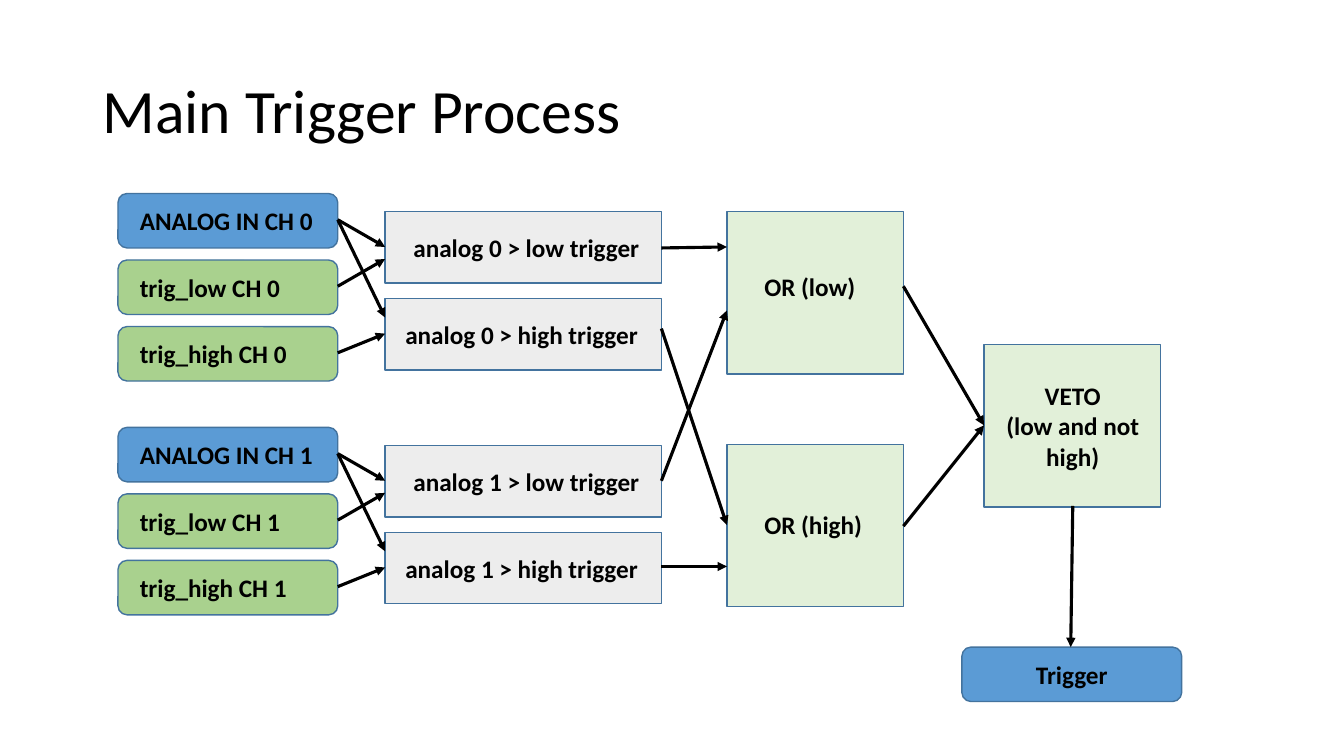
from lxml import etree
from pptx import Presentation
from pptx.dml.color import RGBColor
from pptx.enum.shapes import MSO_CONNECTOR, MSO_SHAPE
from pptx.enum.text import MSO_ANCHOR, PP_ALIGN
from pptx.oxml.ns import qn
from pptx.util import Emu, Pt

EMU_PER_PX = 9144
FONT = "Calibri"
BLACK, OUTLINE = "000000", "43739E"
BLUE, GREEN, PALE_GREEN, GRAY = "5B9BD5", "A9D18E", "E2F0D9", "EDEDED"
RECT, ROUNDED = MSO_SHAPE.RECTANGLE, MSO_SHAPE.ROUNDED_RECTANGLE
STRAIGHT = MSO_CONNECTOR.STRAIGHT
LEFT, CENTER = PP_ALIGN.LEFT, PP_ALIGN.CENTER
MIDDLE = MSO_ANCHOR.MIDDLE
CHANNEL_PITCH = 232
INPUT_PITCH = 66


def px(length):
    """Turn pixels into EMU."""
    return Emu(length * EMU_PER_PX)


def color(code):
    """Turn a hex string into a colour."""
    return RGBColor.from_string(code)


def write(box, text, size, bold, align, insets):
    """Fill a shape with formatted text; insets are left, right and bottom."""
    frame = box.text_frame
    frame.word_wrap = True
    frame.vertical_anchor = MIDDLE
    frame.margin_left, frame.margin_right, frame.margin_bottom = map(px, insets)
    frame.margin_top = 0
    frame.text = text
    for para in frame.paragraphs:
        para.alignment = align
        for span in para.runs:
            span.font.name = FONT
            span.font.size = Pt(size)
            span.font.bold = bold
            span.font.color.rgb = color(BLACK)


def add_title(page, text):
    """Add the slide title."""
    box = page.shapes.add_textbox(px(92), px(40), px(1150), px(145))
    write(box, text, 44, False, LEFT, (10, 10, 0))
    box.text_frame.paragraphs[0].line_spacing = 0.9


def add_block(page, kind, frame, fill, text, align=CENTER, insets=(15, 15, 0)):
    """Add an outlined block with a bold label."""
    box = page.shapes.add_shape(kind, *map(px, frame))
    box.shadow.inherit = False
    box.fill.solid()
    box.fill.fore_color.rgb = color(fill)
    box.line.color.rgb = color(OUTLINE)
    box.line.width = Pt(1)
    write(box, text, 18, True, align, insets)


def add_pill(page, left, top, fill, text, align=LEFT, insets=(19, 5, 0)):
    """Add a rounded signal block."""
    add_block(page, ROUNDED, (left, top, 218, 54), fill, text, align, insets)


def add_compare(page, top, text, indent):
    """Add a threshold comparison block."""
    add_block(page, RECT, (382, top, 274, 71), GRAY, text, LEFT, (indent, 0, 0))


def add_gate(page, left, top, text, align=LEFT, insets=(37, 5, 0)):
    """Add a logic gate block."""
    add_block(page, RECT, (left, top, 175, 161), PALE_GREEN, text, align, insets)


def add_arrow(page, x1, y1, x2, y2):
    """Add a black arrow between two points."""
    arrow = page.shapes.add_connector(STRAIGHT, px(x1), px(y1), px(x2), px(y2))
    arrow.line.color.rgb = color(BLACK)
    arrow.line.width = Pt(2.25)
    etree.SubElement(arrow.line._get_or_add_ln(), qn("a:tailEnd"), type="triangle")
    etree.SubElement(arrow._element.spPr, qn("a:effectLst"))


def add_channel(page, number):
    """Add one channel's inputs, comparisons and the arrows between them."""
    shift = number * CHANNEL_PITCH
    inputs = [("ANALOG IN CH", BLUE), ("trig_low CH", GREEN), ("trig_high CH", GREEN)]
    for row, (name, fill) in enumerate(inputs):
        add_pill(page, 117, 192 + shift + row * INPUT_PITCH, fill, f"{name} {number}")
    add_compare(page, 210 + shift, f"analog {number} > low trigger", 28)
    add_compare(page, 296 + shift, f"analog {number} > high trigger", 20)
    for start, end in [(218, 245), (284, 257), (218, 315), (350, 331)]:
        add_arrow(page, 335, start + shift, 382, end + shift)


def main():
    """Build the trigger diagram."""
    deck = Presentation()
    deck.slide_width, deck.slide_height = px(1333), px(750)
    page = deck.slides.add_slide(deck.slide_layouts[6])
    add_title(page, "Main Trigger Process")
    for number in range(2):
        add_channel(page, number)
    add_gate(page, 721, 210, "OR (low)", insets=(37, 5, 13))
    add_gate(page, 721, 441, "OR (high)", insets=(37, 5, 3))
    add_gate(page, 976, 342, "VETO\n(low and not high)", CENTER, (16, 15, 0))
    add_pill(page, 954, 642, BLUE, "Trigger", CENTER, (10, 10, 0))
    for start, end in [(246, 245), (477, 308), (562, 562), (326, 521)]:
        add_arrow(page, 656, start, 721, end)
    for start in (284, 522):
        add_arrow(page, 896, start, 976, 422)
    add_arrow(page, 1064, 502, 1062, 642)
    deck.save("out.pptx")


if __name__ == "__main__":
    main()
